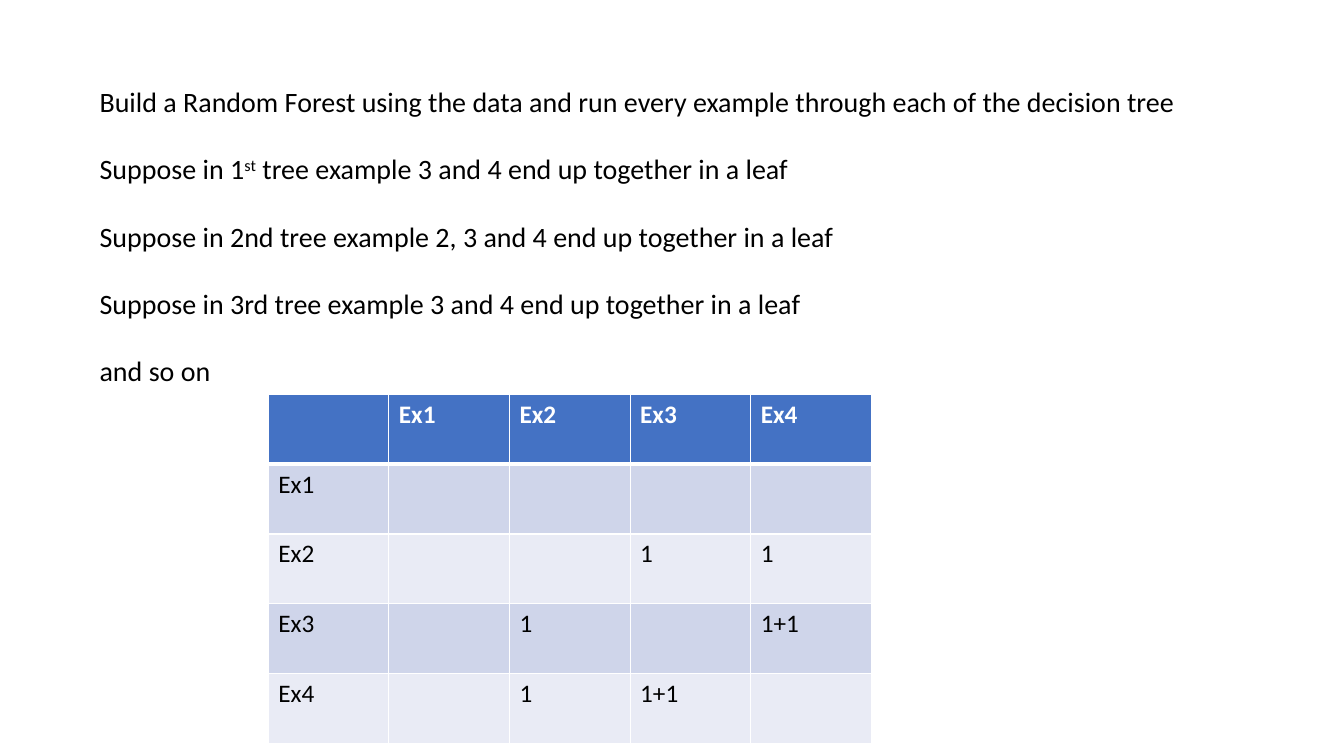
from dataclasses import dataclass

from lxml import etree
from pptx import Presentation
from pptx.dml.color import RGBColor
from pptx.enum.text import MSO_AUTO_SIZE
from pptx.oxml.ns import qn
from pptx.slide import Slide
from pptx.table import _Cell
from pptx.text.text import Font
from pptx.util import Cm, Pt

GROW = MSO_AUTO_SIZE.SHAPE_TO_FIT_TEXT
BLANK = 6


@dataclass(frozen=True)
class Theme:
    face: str = "Calibri"
    body: int = 20
    cell: int = 18
    gap: int = 24
    ink: str = "000000"
    white: str = "FFFFFF"
    head: str = "4472C4"
    bands: tuple[str, str] = ("CFD5EA", "E9EBF5")


@dataclass(frozen=True)
class Box:
    left: float
    top: float
    width: float
    height: float

    def place(self) -> tuple[Cm, Cm, Cm, Cm]:
        return Cm(self.left), Cm(self.top), Cm(self.width), Cm(self.height)


@dataclass(frozen=True)
class Look:
    fill: str
    ink: str
    bold: bool
    top: int
    base: int


THEME = Theme()
TEXT = Box(2.26, 2.01, 27.86, 8.81)
GRID = Box(6.76, 9.93, 15.2, 8.81)
RAISE = "30000"
LINES = (
    ("Build a Random Forest using the data and run every example through each of the decision tree",),
    ("Suppose in 1", "st", " tree example 3 and 4 end up together in a leaf"),
    ("Suppose in 2nd tree example 2, 3 and 4 end up together in a leaf",),
    ("Suppose in 3rd tree example 3 and 4 end up together in a leaf",),
    ("and so on",),
)
NAMES = ("Ex1", "Ex2", "Ex3", "Ex4")
COUNTS = (
    ("", "", "", ""),
    ("", "", "1", "1"),
    ("", "1", "", "1+1"),
    ("", "1", "1+1", ""),
)


def style(font: Font, size: int, ink: str, bold: bool = False) -> None:
    font.name = THEME.face
    font.size = Pt(size)
    font.bold = bold
    font.color.rgb = RGBColor.from_string(ink)


def add_text(slide: Slide) -> None:
    frame = slide.shapes.add_textbox(*TEXT.place()).text_frame
    frame.word_wrap = False
    frame.auto_size = GROW
    for row, parts in enumerate(LINES):
        para = frame.add_paragraph() if row else frame.paragraphs[0]
        if row:
            para.space_before = Pt(THEME.gap)
        for part in parts:
            run = para.add_run()
            run.text = part
            style(run.font, THEME.body, THEME.ink)
            if part == "st":
                run._r.get_or_add_rPr().set("baseline", RAISE)


def add_edge(cell: _Cell, side: str, width: int) -> None:
    props = cell._tc.get_or_add_tcPr()
    line = etree.SubElement(props, qn(f"a:ln{side}"), w=str(Pt(width)))
    fill = etree.SubElement(line, qn("a:solidFill"))
    etree.SubElement(fill, qn("a:srgbClr"), val=THEME.white)


def fill_cell(cell: _Cell, text: str, look: Look) -> None:
    for side, width in (("L", 1), ("R", 1), ("T", look.top), ("B", look.base)):
        add_edge(cell, side, width)
    cell.fill.solid()
    cell.fill.fore_color.rgb = RGBColor.from_string(look.fill)
    cell.text = text
    style(cell.text_frame.paragraphs[0].font, THEME.cell, look.ink, look.bold)
    for run in cell.text_frame.paragraphs[0].runs:
        style(run.font, THEME.cell, look.ink, look.bold)


def row_look(row: int) -> Look:
    if row == 0:
        return Look(THEME.head, THEME.white, True, 1, 3)
    return Look(THEME.bands[(row - 1) % 2], THEME.ink, False, 3 if row == 1 else 1, 1)


def add_grid(slide: Slide) -> None:
    rows = [("", *NAMES)] + [(name, *vals) for name, vals in zip(NAMES, COUNTS)]
    size = len(rows)
    table = slide.shapes.add_table(size, size, *GRID.place()).table
    for row, texts in enumerate(rows):
        for col, text in enumerate(texts):
            fill_cell(table.cell(row, col), text, row_look(row))


def main() -> None:
    deck = Presentation()
    deck.slide_width = Cm(33.87)
    deck.slide_height = Cm(19.05)
    slide = deck.slides.add_slide(deck.slide_layouts[BLANK])
    add_text(slide)
    add_grid(slide)
    deck.save("out.pptx")


if __name__ == "__main__":
    main()
